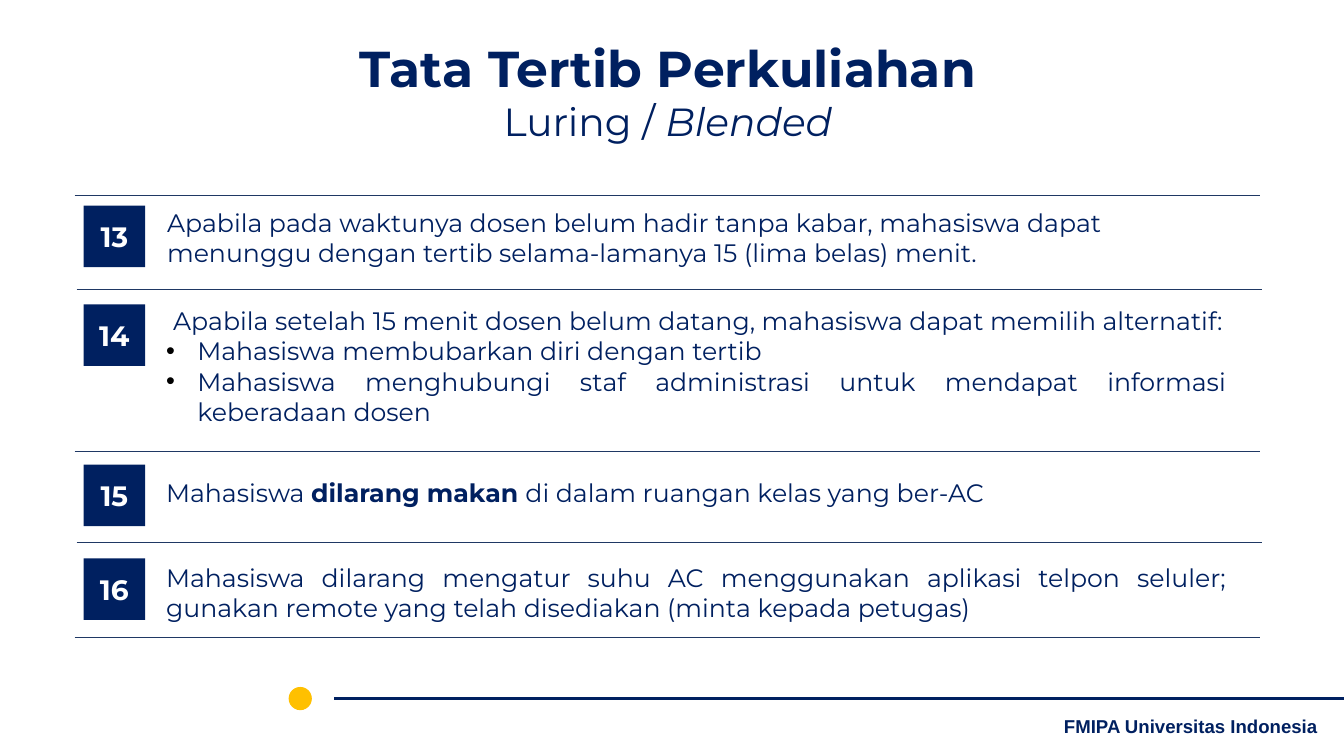
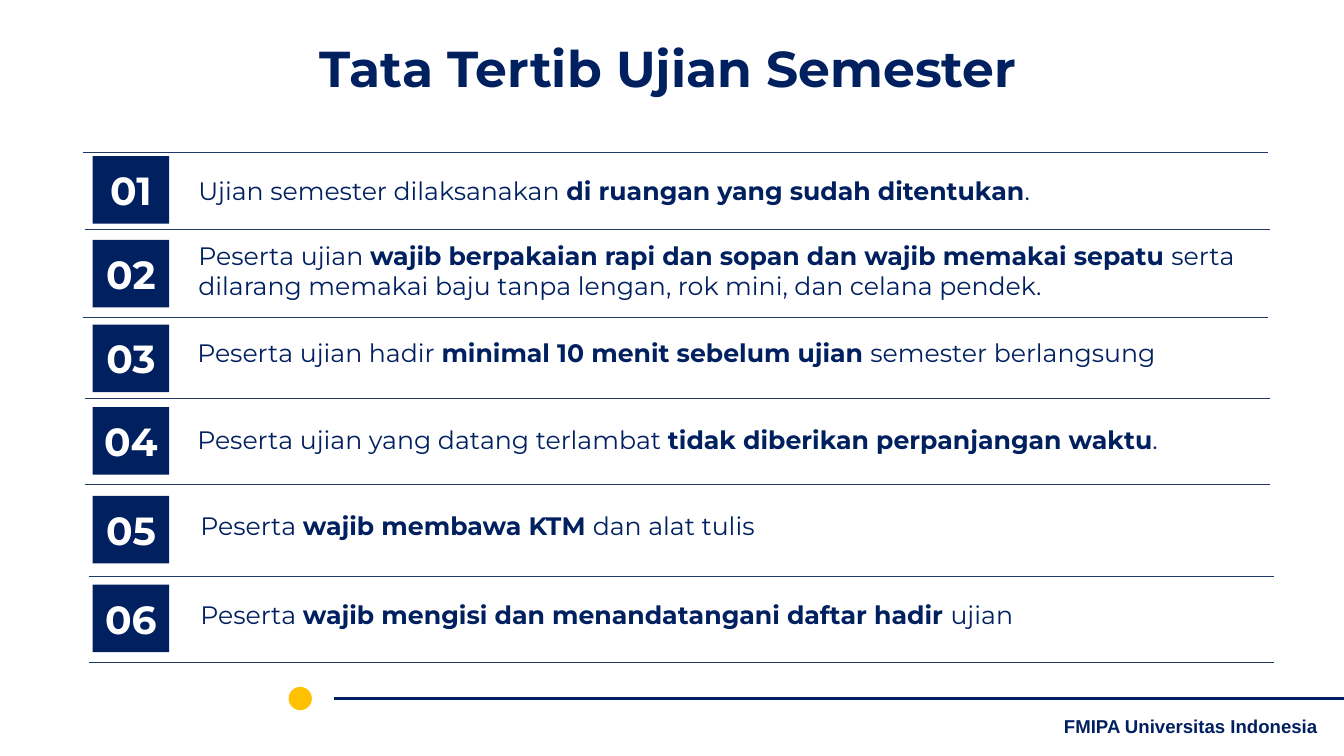
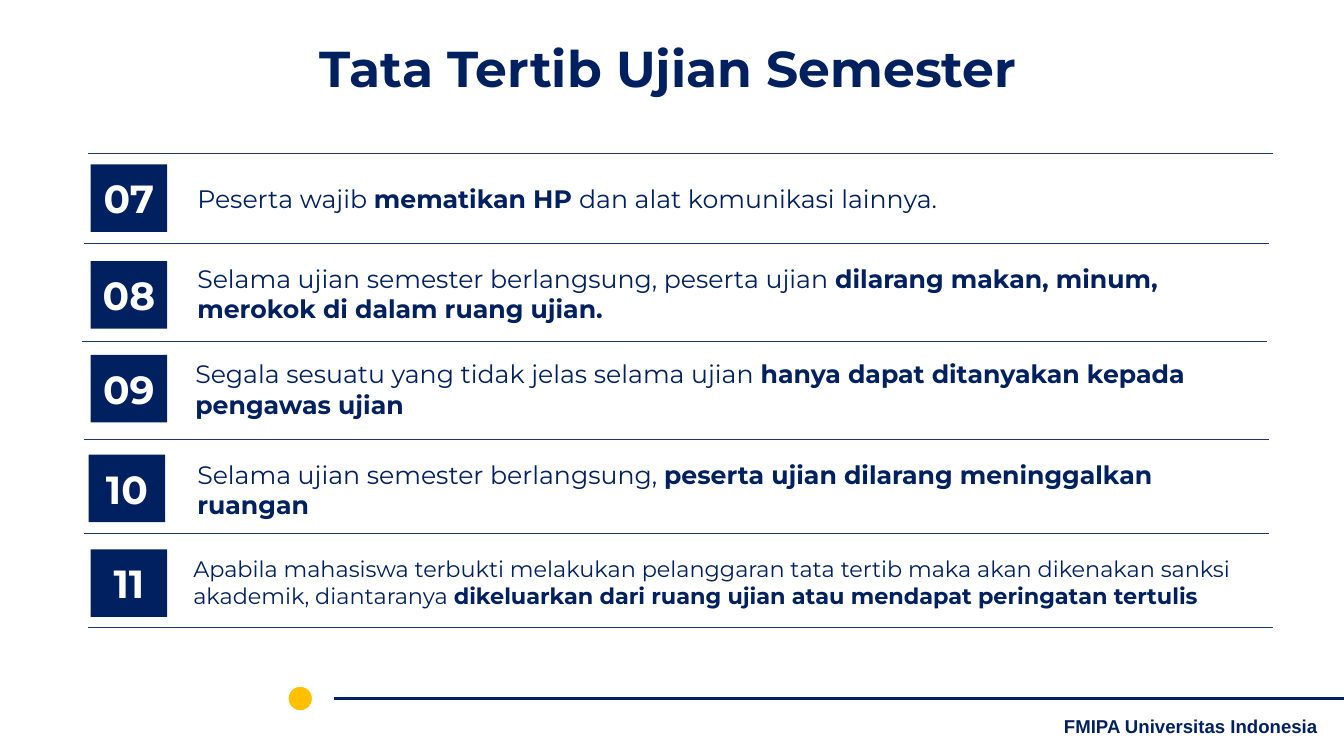
from lxml import etree
from pptx import Presentation
from pptx.dml.color import RGBColor
from pptx.enum.shapes import MSO_CONNECTOR, MSO_SHAPE
from pptx.enum.text import MSO_ANCHOR, MSO_AUTO_SIZE, PP_ALIGN
from pptx.oxml.ns import qn
from pptx.util import Inches, Pt

STRAIGHT = MSO_CONNECTOR.STRAIGHT
RECTANGLE, OVAL = MSO_SHAPE.RECTANGLE, MSO_SHAPE.OVAL
TOP, MIDDLE = MSO_ANCHOR.TOP, MSO_ANCHOR.MIDDLE
LEFT, CENTER, JUSTIFY = PP_ALIGN.LEFT, PP_ALIGN.CENTER, PP_ALIGN.JUSTIFY
NAVY, RULE, GOLD, WHITE = "002060", "1F3864", "FFC000", "FFFFFF"
BULLET = "• "
BULLET_INDENT = 0.31
RULE_WIDTH = 11.77


def add_box(slide, left, top, width, height, preset=None, fill=None):
    place = [Inches(value) for value in (left, top, width, height)]
    if preset is None:
        shape = slide.shapes.add_textbox(*place)
        shape.text_frame.auto_size = MSO_AUTO_SIZE.SHAPE_TO_FIT_TEXT
    else:
        shape = slide.shapes.add_shape(preset, *place)
        shape.shadow.inherit = False
        shape.fill.solid()
        shape.fill.fore_color.rgb = RGBColor.from_string(fill)
        shape.line.fill.background()
    shape.text_frame.word_wrap = True
    return shape


def add_text(shape, text, size=18, color=NAVY, font="Montserrat", bold=False,
             emphasis="bold", align=LEFT, anchor=TOP, first_indent=0):
    frame = shape.text_frame
    frame.vertical_anchor = anchor
    paragraph = frame.paragraphs[0] if not frame.text else frame.add_paragraph()
    paragraph.alignment = align
    properties = paragraph._p.get_or_add_pPr()
    if text.startswith(BULLET):
        text = text.removeprefix(BULLET)
        properties.set("marL", str(Inches(BULLET_INDENT)))
        properties.set("indent", str(-Inches(BULLET_INDENT)))
        bullet_color = etree.SubElement(properties, qn("a:buClr"))
        etree.SubElement(bullet_color, qn("a:srgbClr"), val="000000")
        etree.SubElement(properties, qn("a:buFont"), typeface="Arial")
        etree.SubElement(properties, qn("a:buChar"), char="•")
    elif first_indent:
        properties.set("indent", str(Inches(first_indent)))
    for index, part in enumerate(text.split("*")):
        if part:
            run = paragraph.add_run()
            run.text = part
            run.font.name = font
            run.font.size = Pt(size)
            run.font.color.rgb = RGBColor.from_string(color)
            run.font.bold = bold or (index % 2 == 1 and emphasis == "bold")
            run.font.italic = index % 2 == 1 and emphasis == "italic"


lecture_rules = {
    "title": "Tata Tertib Perkuliahan",
    "subtitle": "Luring / *Blended*",
    "first_number": 13,
    "badge": (0.61, 0.61, 20),
    "rules": [(0.74, 1.94), (0.76, 2.87), (0.74, 4.48), (0.76, 5.38), (0.74, 6.32)],
    "rows": [
        (0.83, 2.04, 1.56, 2.01, 10.91, 0.71, {},
         ["Apabila pada waktunya dosen belum hadir tanpa kabar, mahasiswa dapat "
          "menunggu dengan tertib selama-lamanya 15 (lima belas) menit."]),
        (0.83, 3.02, 1.55, 2.98, 10.72, 1.31, {"align": JUSTIFY, "first_indent": 0.07},
         ["Apabila setelah 15 menit dosen belum datang, mahasiswa dapat memilih alternatif:",
          "• Mahasiswa membubarkan diri dengan tertib",
          "• Mahasiswa menghubungi staf administrasi untuk mendapat informasi "
          "keberadaan dosen"]),
        (0.83, 4.61, 1.55, 4.69, 10.72, 0.4, {"align": JUSTIFY},
         ["Mahasiswa *dilarang makan *di dalam ruangan kelas yang ber-AC"]),
        (0.83, 5.54, 1.55, 5.53, 10.72, 0.71, {"align": JUSTIFY},
         ["Mahasiswa dilarang mengatur suhu AC menggunakan aplikasi telpon seluler; "
          "gunakan remote yang telah disediakan (minta kepada petugas)"]),
    ],
}

exam_rules = {
    "title": "Tata Tertib Ujian Semester",
    "first_number": 1,
    "badge": (0.76, 0.67, 28),
    "rules": [(0.82, 1.51), (0.84, 2.28), (0.82, 3.15), (0.84, 3.95),
              (0.84, 4.81), (0.88, 5.72), (0.88, 6.57)],
    "rows": [
        (0.92, 1.55, 1.87, 1.69, 10.72, 0.4, {},
         ["Ujian semester dilaksanakan *di ruangan yang sudah ditentukan*."]),
        (0.92, 2.38, 1.87, 2.33, 10.72, 0.71, {},
         ["Peserta ujian *wajib berpakaian rapi dan sopan dan wajib memakai sepatu *"
          "serta dilarang memakai baju tanpa lengan, rok mini, dan celana pendek."]),
        (0.92, 3.22, 1.86, 3.3, 10.72, 0.4, {},
         ["Peserta ujian hadir *minimal 10 menit sebelum ujian *semester berlangsung"]),
        (0.92, 4.04, 1.86, 4.16, 10.72, 0.4, {},
         ["Peserta ujian yang datang terlambat *tidak diberikan perpanjangan waktu*."]),
        (0.92, 4.92, 1.89, 5.01, 10.72, 0.4, {},
         ["Peserta *wajib membawa KTM *dan alat tulis"]),
        (0.92, 5.8, 1.89, 5.9, 10.72, 0.4, {},
         ["Peserta *wajib mengisi dan menandatangani daftar hadir *ujian"]),
    ],
}

exam_rules_continued = {
    "title": "Tata Tertib Ujian Semester",
    "first_number": 7,
    "badge": (0.76, 0.67, 28),
    "rules": [(0.87, 1.52), (0.83, 2.42), (0.81, 3.39), (0.83, 4.36),
              (0.83, 5.29), (0.87, 6.23)],
    "rows": [
        (0.9, 1.63, 1.86, 1.77, 10.72, 0.4, {},
         ["Peserta wajib *mematikan HP *dan alat komunikasi lainnya."]),
        (0.9, 2.59, 1.86, 2.56, 10.72, 0.71, {},
         ["Selama ujian semester berlangsung, peserta ujian "
          "*dilarang makan, minum, merokok di dalam ruang ujian.*"]),
        (0.9, 3.52, 1.84, 3.51, 10.72, 0.71, {},
         ["Segala sesuatu yang tidak jelas selama ujian "
          "*hanya dapat ditanyakan kepada pengawas ujian*"]),
        (0.88, 4.51, 1.86, 4.51, 10.69, 0.71, {},
         ["Selama ujian semester berlangsung, *peserta ujian dilarang meninggalkan ruangan*"]),
        (0.9, 5.45, 1.82, 5.46, 10.72, 0.64, {"size": 16},
         ["Apabila mahasiswa terbukti melakukan pelanggaran tata tertib maka akan "
          "dikenakan sanksi akademik, diantaranya "
          "*dikeluarkan dari ruang ujian atau mendapat peringatan tertulis*"]),
    ],
}

presentation = Presentation()
presentation.slide_width = Inches(13.34)
presentation.slide_height = Inches(7.5)

for content in (lecture_rules, exam_rules, exam_rules_continued):
    slide = presentation.slides.add_slide(presentation.slide_layouts[6])

    lines = [(3.32, 6.93, 10.18, NAVY, 1.5)]
    lines += [(left, top, RULE_WIDTH, RULE, 0.75) for left, top in content["rules"]]
    for left, top, width, color, weight in lines:
        line = slide.shapes.add_connector(
            STRAIGHT, Inches(left), Inches(top), Inches(left + width), Inches(top))
        line.line.color.rgb = RGBColor.from_string(color)
        line.line.width = Pt(weight)
        etree.SubElement(line._element.spPr, qn("a:effectLst"))

    dot = add_box(slide, 2.87, 6.82, 0.22, 0.22, OVAL, GOLD)
    dot.line.color.rgb = RGBColor.from_string(GOLD)
    dot.line.width = Pt(0.75)

    footer = add_box(slide, 10.28, 7.08, 3.08, 0.25)
    frame = footer.text_frame
    frame.auto_size = MSO_AUTO_SIZE.NONE
    frame.margin_left = frame.margin_right = Inches(0.13)
    frame.margin_top = frame.margin_bottom = Inches(0.13)
    add_text(footer, "FMIPA Universitas Indonesia", size=13.3, font="Arial",
             bold=True, align=CENTER, anchor=MIDDLE)

    title = add_box(slide, 0.4, 0.32, 12.46, 1.18 if "subtitle" in content else 0.71)
    add_text(title, content["title"], size=36, bold=True, align=CENTER)
    if "subtitle" in content:
        add_text(title, content["subtitle"], size=28, emphasis="italic", align=CENTER)

    badge_width, badge_height, badge_size = content["badge"]
    for number, row in enumerate(content["rows"], content["first_number"]):
        badge_left, badge_top, left, top, width, height, text_format, paragraphs = row
        badge = add_box(slide, badge_left, badge_top, badge_width, badge_height,
                        RECTANGLE, NAVY)
        add_text(badge, f"{number:02d}", size=badge_size, color=WHITE, bold=True,
                 align=CENTER, anchor=MIDDLE)
        body = add_box(slide, left, top, width, height)
        for text in paragraphs:
            add_text(body, text, **text_format)

presentation.save("out.pptx")
